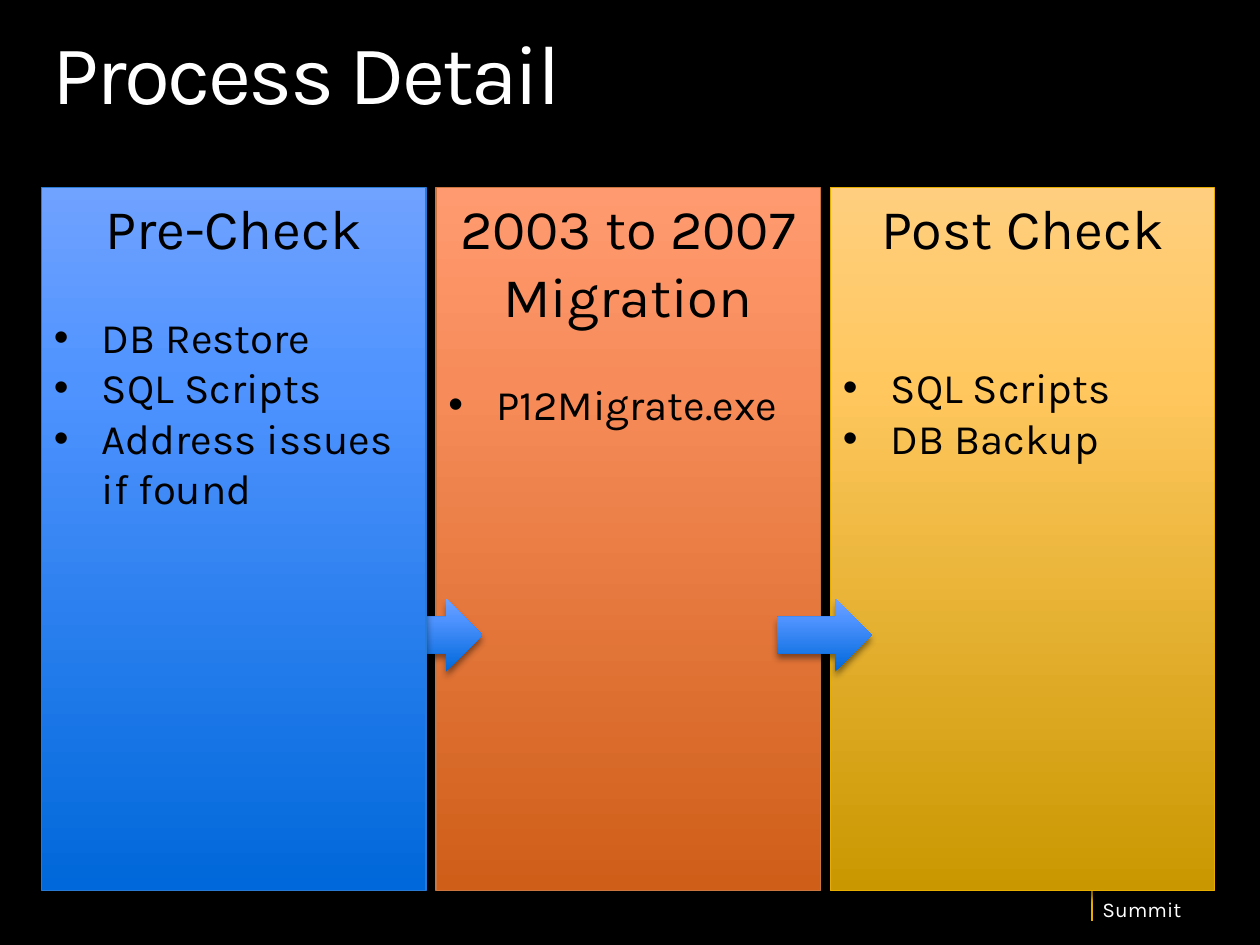
from copy import deepcopy
from pptx import Presentation
from pptx.dml.color import RGBColor
from pptx.enum.shapes import MSO_CONNECTOR as Link, MSO_SHAPE as Shape
from pptx.enum.text import PP_ALIGN as Align
from pptx.oxml import parse_xml
from pptx.oxml.ns import qn
from pptx.util import Inches, Pt

BLUE = ("0068DA", "4F93FF", "70A2FF")
ORANGE = ("CE5E18", "F78C5A", "FF9A70")
GOLD = ("C99800", "FFC75E", "FFCF7F")
STEPS = [
    ("Pre-Check", 1, ["DB Restore", "SQL Scripts", "Address issues if found"], BLUE, "297AD2"),
    ("2003 to 2007 Migration", 1, ["P12Migrate.exe"], ORANGE, "CA743F"),
    ("Post Check", 2, ["SQL Scripts", "DB Backup"], GOLD, "E7AE00"),
]
LEFT, TOP, WIDE, TALL, PITCH = 0.33, 1.49, 3.05, 5.58, 3.13
ARROWS = [3.08, 6.17]
ROW = 28.8
NS = 'xmlns:a="http://schemas.openxmlformats.org/drawingml/2006/main"'


def color(code):
    """Turn a hex string into a colour."""
    return RGBColor.from_string(code)


def write(par, text, size=24, ink="000000", align=Align.LEFT, before=0, dot=False, track=None, lead=None):
    """Fill a paragraph with formatted text."""
    run = par.add_run()
    run.text = text
    run.font.name, run.font.size = "Karla", Pt(size)
    run.font.color.rgb = color(ink)
    par.alignment, par.space_before = align, Pt(before)
    if lead:
        par.line_spacing = lead
    if track:
        run.font._element.set("spc", str(track))
    if dot:
        props = par._p.get_or_add_pPr()
        props.set("marL", str(Inches(0.38)))
        props.set("indent", str(-Inches(0.38)))
        props.append(parse_xml(f'<a:buFont {NS} typeface="Arial"/>'))
        props.append(parse_xml(f'<a:buChar {NS} char="•"/>'))


def label(slide, box, text, **style):
    """Add a text box without margins."""
    frame = slide.shapes.add_textbox(*map(Inches, box)).text_frame
    frame.margin_left = frame.margin_right = frame.margin_top = frame.margin_bottom = 0
    frame.word_wrap = True
    write(frame.paragraphs[0], text, lead=0.9, **style)


def block(slide, kind, box, shades, edge=None):
    """Add a shape with a gradient and a soft shadow."""
    shape = slide.shapes.add_shape(kind, *map(Inches, box))
    fill = shape.fill
    fill.gradient()
    fill.gradient_angle = 90
    stops = shape._element.spPr.find(qn("a:gradFill")).find(qn("a:gsLst"))
    stops.insert(1, deepcopy(stops[0]))
    for stop, shade, place in zip(fill.gradient_stops, shades, (0, 0.72, 1)):
        stop.color.rgb, stop.position = color(shade), place
    if edge:
        shape.line.color.rgb, shape.line.width = color(edge), Pt(0.75)
    else:
        shape.line.fill.background()
    shape.shadow.inherit = False
    shape._element.spPr.find(qn("a:effectLst")).append(parse_xml(
        f'<a:outerShdw {NS} blurRad="{Pt(4)}" dist="{Pt(3)}" dir="5400000" rotWithShape="0">'
        '<a:srgbClr val="000000"><a:alpha val="43000"/></a:srgbClr></a:outerShdw>'))
    return shape


def panel(slide, spot):
    """Add one step with its heading and bullets."""
    head, gap, items, shades, edge = STEPS[spot]
    box = (LEFT + spot * PITCH, TOP, WIDE, TALL)
    shape = block(slide, Shape.ROUNDED_RECTANGLE, box, shades, edge)
    shape.adjustments[0] = 0
    frame = shape.text_frame
    frame.word_wrap = True
    frame.vertical_anchor = 1
    write(frame.paragraphs[0], head, size=32, align=Align.CENTER)
    for row, item in enumerate(items):
        write(frame.add_paragraph(), item, before=0 if row else gap * ROW, dot=True)


def main():
    """Build and save the slide."""
    deck = Presentation()
    deck.slide_width, deck.slide_height = Inches(10), Inches(7.5)
    slide = deck.slides.add_slide(deck.slide_layouts[6])
    back = slide.background.fill
    back.solid()
    back.fore_color.rgb = color("000000")

    label(slide, (8.75, 7.14, 0.83, 0.18), "Summit", size=12, ink="FFFFFF")
    rule = slide.shapes.add_connector(Link.STRAIGHT, *map(Inches, (8.67, 7.06, 8.67, 7.31)))
    rule.line.color.rgb, rule.line.width = color("E7AE00"), Pt(1.25)
    rule._element.spPr.append(parse_xml(f"<a:effectLst {NS}/>"))

    panel(slide, 2)
    panel(slide, 1)
    label(slide, (0.42, 0.25, 9.17, 0.73), "Process Detail", size=48, ink="FFFFFF", track=-150)
    for left in ARROWS:
        block(slide, Shape.RIGHT_ARROW, (left, 4.75, 0.75, 0.58), BLUE)
    panel(slide, 0)
    deck.save("out.pptx")


if __name__ == "__main__":
    main()
